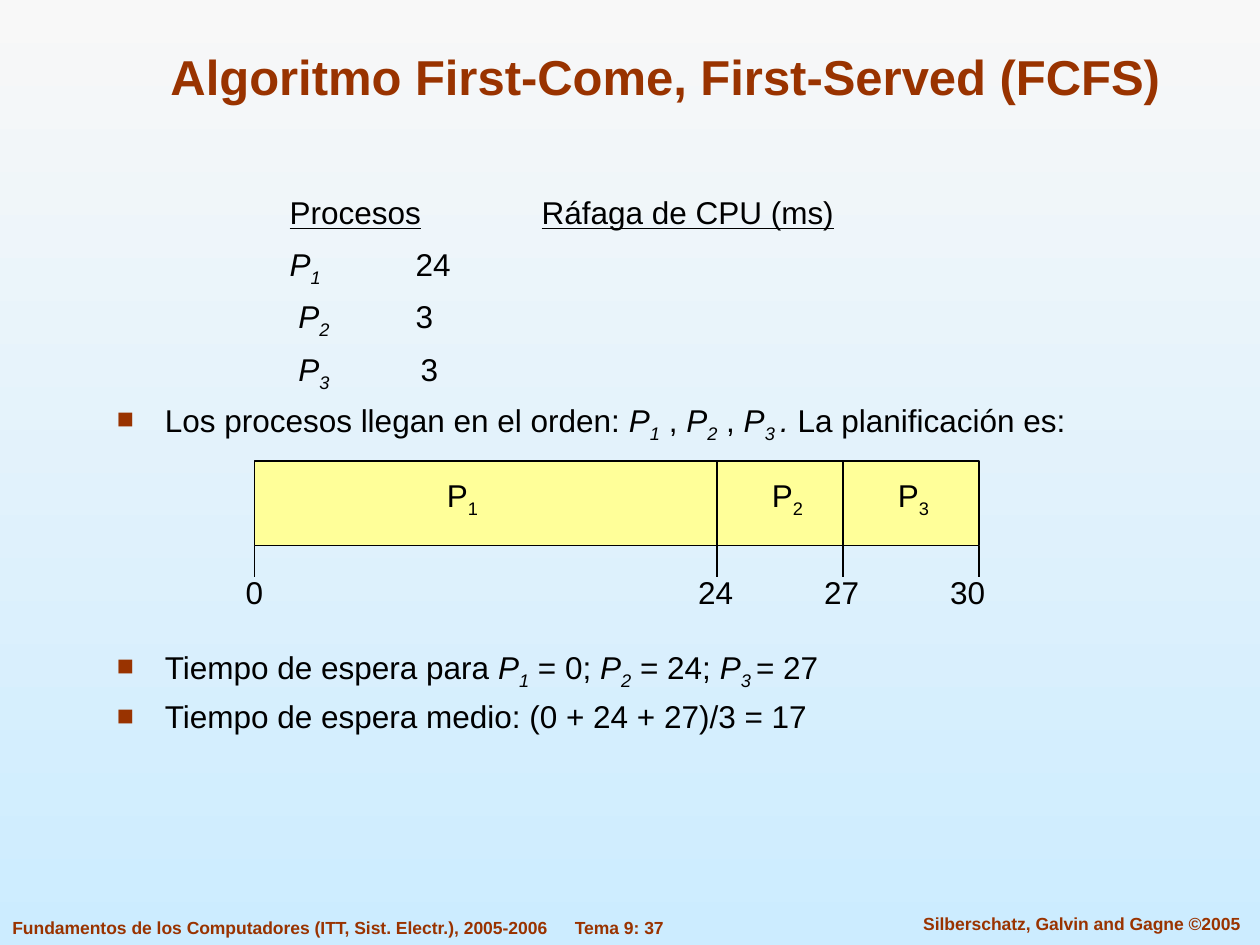
import pptx
import pptx.util
import pptx.dml.color
import pptx.enum.text
import pptx.enum.shapes
import pptx.oxml.ns
from dataclasses import dataclass
from lxml import etree

Inches = pptx.util.Inches
Pt = pptx.util.Pt
Align = pptx.enum.text.PP_ALIGN
Anchor = pptx.enum.text.MSO_ANCHOR
qn = pptx.oxml.ns.qn


@dataclass(frozen=True)
class Theme:
    font: str = "Arial"
    rust: str = "993300"
    ink: str = "000000"
    bar: str = "FFFF99"
    sky: tuple = ("F8F8F8", "CCECFF")
    head: float = 28
    body: float = 18
    foot: float = 10
    rule: float = 0.75


theme = Theme()
MARKS = {"*": "italic", "~": "sub", "_": "under"}


def rgb(code):
    return pptx.dml.color.RGBColor.from_string(code)


def pieces(text):
    on, part = set(), ""
    for char in text:
        if char in MARKS:
            if part:
                yield part, set(on)
            on ^= {MARKS[char]}
            part = ""
        else:
            part += char
    if part:
        yield part, set(on)


def write(para, text, size=theme.body, color=theme.ink, bold=False,
          align=Align.LEFT, before=0, line=None, bullet=False, tabs=()):
    props = para._p.get_or_add_pPr()
    if bullet:
        props.set("marL", str(Inches(0.38)))
        props.set("indent", str(-Inches(0.38)))
        tint = etree.SubElement(props, qn("a:buClr"))
        etree.SubElement(tint, qn("a:srgbClr"), val=theme.rust)
        etree.SubElement(props, qn("a:buSzPct"), val="90000")
        etree.SubElement(props, qn("a:buFont"), typeface=theme.font)
        etree.SubElement(props, qn("a:buChar"), char="■")
    if tabs:
        stops = etree.SubElement(props, qn("a:tabLst"))
        for stop in tabs:
            etree.SubElement(stops, qn("a:tab"), pos=str(Inches(stop)), algn="l")
    para.alignment = align
    para.space_before = Pt(before)
    if line:
        para.line_spacing = line
    for part, marks in pieces(text):
        run = para.add_run()
        run.text = part
        font = run.font
        font.name, font.size, font.bold = theme.font, Pt(size), bold
        font.color.rgb = rgb(color)
        font.italic = "italic" in marks
        font.underline = "under" in marks
        if "sub" in marks:
            run._r.get_or_add_rPr().set("baseline", "-25000")


def frame(shapes, box, wrap=True, anchor=Anchor.TOP):
    area = shapes.add_textbox(*map(Inches, box)).text_frame
    area.word_wrap = wrap
    area.vertical_anchor = anchor
    return area


def label(shapes, text, mid, top, wide, high):
    area = frame(shapes, (mid - wide / 2, top, wide, high), False, Anchor.MIDDLE)
    write(area.paragraphs[0], text, align=Align.CENTER)


def rule(shapes, x, top, end):
    line = shapes.add_connector(pptx.enum.shapes.MSO_CONNECTOR.STRAIGHT,
                                Inches(x), Inches(top), Inches(x), Inches(end))
    line.line.color.rgb = rgb(theme.ink)
    line.line.width = Pt(theme.rule)
    etree.SubElement(line._element.spPr, qn("a:effectLst"))


def backdrop(slide):
    fill = slide.background.fill
    fill.gradient()
    fill.gradient_angle = 270
    for stop, code in zip(fill.gradient_stops, theme.sky):
        stop.color.rgb = rgb(code)


def title(slide, box):
    shape = slide.shapes.title
    shape.left, shape.top, shape.width, shape.height = map(Inches, box)
    area = shape.text_frame
    area.auto_size = pptx.enum.text.MSO_AUTO_SIZE.NONE
    area.vertical_anchor = Anchor.BOTTOM
    write(area.paragraphs[0], "Algoritmo First-Come, First-Served (FCFS)",
          size=theme.head, color=theme.rust, bold=True, align=Align.CENTER)


def body(slide, box):
    area = frame(slide.shapes, box)
    row = dict(tabs=(1.37, 2.37, 3.37))
    lines = [
        ("\t_Procesos_\t_Ráfaga de CPU (ms)_", 0, row),
        ("\t*P~1\t~*24", 7.9, row),
        ("\t *P~2 \t~*3", 7.9, row),
        ("\t *P~3\t ~*3", 7.9, row),
        ("Los procesos llegan en el orden: *P~1~* , *P~2~* , *P~3 ~. *"
         "La planificación es:", 7, dict(bullet=True)),
        ("Tiempo de espera para *P~1~* = 0; *P~2~* = 24; *P~3 ~*= 27",
         119, dict(bullet=True)),
        ("Tiempo de espera medio: (0 + 24 + 27)/3 = 17", 7.9, dict(bullet=True)),
    ]
    for i, (text, gap, style) in enumerate(lines):
        para = area.add_paragraph() if i else area.paragraphs[0]
        write(para, text, before=gap, line=0.9, **style)


def gantt(slide, box):
    left, top, wide, high = box
    shapes = slide.shapes.add_group_shape().shapes
    bar = shapes.add_shape(pptx.enum.shapes.MSO_SHAPE.RECTANGLE,
                           *map(Inches, box))
    bar.shadow.inherit = False
    bar.fill.solid()
    bar.fill.fore_color.rgb = rgb(theme.bar)
    bar.line.color.rgb = rgb(theme.ink)
    bar.line.width = Pt(theme.rule)
    base = top + high
    for name, mid in (("P~1~", 1.65), ("P~2~", 4.23), ("P~3~", 5.23)):
        label(shapes, name, left + mid, top + 0.07, 0.45, 0.44)
    for x in (3.67, 4.67):
        rule(shapes, left + x, top, base)
    ticks = (("0", 0, 0), ("24", 3.67, 3.66), ("27", 4.67, 4.66),
             ("30", wide, 5.66))
    for time, x, mid in ticks:
        rule(shapes, left + x, base, base + 0.25)
        label(shapes, time, left + mid, base + 0.17, 0.48, 0.4)


def footer(slide, box):
    left, top = box[:2]
    parts = (
        ("Fundamentos de los Computadores (ITT, Sist. Electr.), 2005-2006",
         0, 0.03, 4.46, False, Align.LEFT),
        ("Tema 9: 37", 4.2, 0.03, 1.43, False, Align.CENTER),
        ("Silberschatz, Galvin and Gagne ©2005", 7.1, 0, 2.97, True, Align.CENTER),
    )
    for text, x, y, wide, wrap, align in parts:
        area = frame(slide.shapes, (left + x, top + y, wide, 0.27), wrap)
        write(area.paragraphs[0], text, size=theme.foot, color=theme.rust,
              bold=True, align=align)


def main():
    deck = pptx.Presentation()
    deck.slide_width, deck.slide_height = Inches(10), Inches(7.5)
    slide = deck.slides.add_slide(deck.slide_layouts[5])
    backdrop(slide)
    footer(slide, (0, 7.2, 10, 0.3))
    title(slide, (0.72, 0.39, 9.12, 0.5))
    body(slide, (0.83, 1.52, 8.27, 4.5))
    gantt(slide, (2.02, 3.66, 5.75, 0.67))
    deck.save("out.pptx")


if __name__ == "__main__":
    main()
